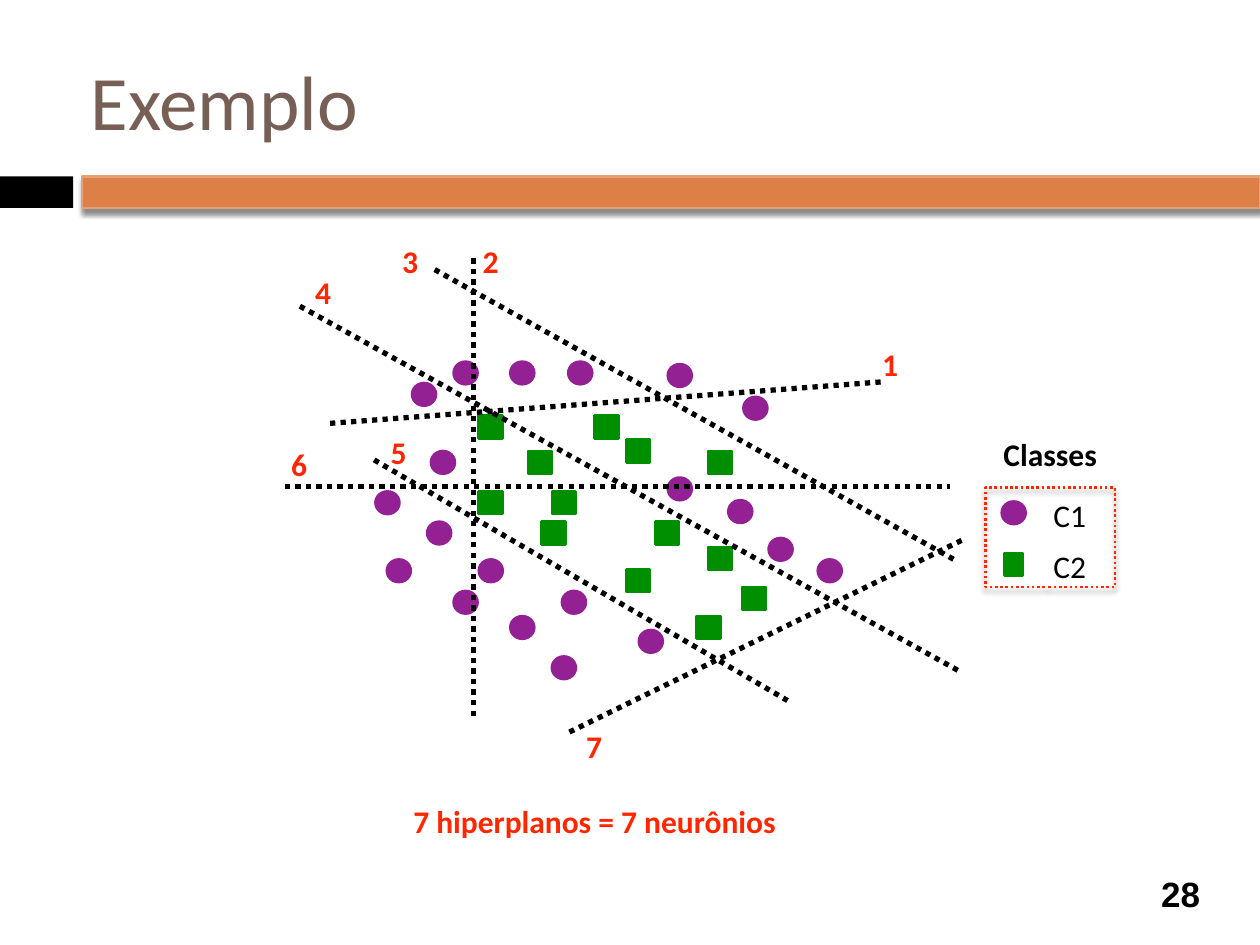
import pptx
import pptx.util
import pptx.oxml
import pptx.oxml.ns
import pptx.dml.color
import pptx.enum.dml
import pptx.enum.shapes
import pptx.enum.text

# The slide is a grid of 100 columns by 75 rows
COLS, ROWS = 100, 75
WIDTH, HEIGHT = pptx.util.Inches(10), pptx.util.Inches(7.5)

COLORS = {
    "black": "000000", "bar": "DD8047", "bar_edge": "E5A075",
    "title": "775F55", "red": "FF2600", "c1": "942193", "c2": "008F00",
}
OVAL = pptx.enum.shapes.MSO_SHAPE.OVAL
RECT = pptx.enum.shapes.MSO_SHAPE.RECTANGLE
DOTTED = pptx.enum.dml.MSO_LINE.ROUND_DOT
MARK_W, MARK_H = 1.9, 1.8

# Column and row of the top left corner of each sample
C1_SAMPLES = [
    (33.9, 41.4), (30.7, 44.4), (44.6, 46.9), (53, 37.9), (38, 44.4),
    (40.5, 48.9), (50.7, 50), (64.9, 44.4), (43.8, 52.1), (57.8, 39.7),
    (61, 42.7), (36, 46.9), (34.2, 35.8), (29.8, 39), (32.7, 30.4),
    (36, 28.7), (40.5, 28.7), (45.1, 28.7), (53, 28.9), (59, 31.5),
]
C2_SAMPLES = [
    (38, 33), (41.9, 35.8), (38, 39), (43.8, 39), (43, 41.4), (47.2, 33),
    (49.7, 34.9), (56.2, 35.8), (52, 41.4), (49.7, 45.2), (56.2, 43.4),
    (58.9, 46.6), (55.3, 48.9),
]

# Number of each hyperplane: start, end, corner of its label
HYPERPLANES = {
    1: ((26.2, 33.6), (70.1, 30.3), (68.5, 26.9)),
    2: ((37.6, 20.5), (37.6, 57.2), (36.8, 18.7)),
    3: ((34.5, 21.4), (75.7, 44.4), (30.4, 18.7)),
    4: ((23.8, 24.3), (76.2, 53.3), (23.5, 21.2)),
    5: ((29.7, 36.5), (62.5, 55.6), (29.5, 33.9)),
    6: ((22.6, 38.6), (75.4, 38.6), (21.6, 34.8)),
    7: ((45.2, 58.1), (76.5, 42.8), (45, 57.2)),
}


def col(n):
    return round(WIDTH * n / COLS)


def row(n):
    return round(HEIGHT * n / ROWS)


def rgb(name):
    return pptx.dml.color.RGBColor.from_string(COLORS[name])


def add_shadow(shape):
    effects = pptx.oxml.parse_xml(
        f'<a:effectLst {pptx.oxml.ns.nsdecls("a")}>'
        '<a:outerShdw blurRad="38100" dist="30480" dir="5400000" rotWithShape="0">'
        '<a:srgbClr val="000000"><a:alpha val="45000"/></a:srgbClr>'
        '</a:outerShdw></a:effectLst>')
    shape._element.spPr.append(effects)


def add_box(s, kind, x, y, w, h, fill=None, edge=None, dash=None, shadow=False):
    sp = s.shapes.add_shape(kind, col(x), row(y), col(w), row(h))
    if fill:
        sp.fill.solid()
        sp.fill.fore_color.rgb = rgb(fill)
    else:
        sp.fill.background()
    if edge:
        sp.line.color.rgb = rgb(edge)
        sp.line.width = pptx.util.Pt(1.5)
        if dash:
            sp.line.dash_style = dash
    else:
        sp.line.fill.background()
    if shadow:
        add_shadow(sp)
    else:
        sp.shadow.inherit = False


def add_mark(s, kind, x, y, color, w=MARK_W):
    add_box(s, kind, x, y, w, MARK_H, color, color)


def add_hyperplane(s, start, end):
    line = s.shapes.add_connector(
        pptx.enum.shapes.MSO_CONNECTOR.STRAIGHT,
        col(start[0]), row(start[1]), col(end[0]), row(end[1]))
    line.line.color.rgb = rgb("black")
    line.line.width = pptx.util.Pt(3)
    line.line.dash_style = DOTTED
    line._element.spPr.append(pptx.oxml.parse_xml(
        f'<a:effectLst {pptx.oxml.ns.nsdecls("a")}/>'))


def format_text(sp, text, size, color, bold, font="Calibri", align="CENTER", anchor="TOP"):
    tf = sp.text_frame
    tf.text = text
    tf.word_wrap = True
    tf.vertical_anchor = pptx.enum.text.MSO_ANCHOR[anchor]
    tf.margin_left = tf.margin_right = pptx.util.Inches(0.05)
    tf.margin_top = tf.margin_bottom = pptx.util.Inches(0.05)
    p = tf.paragraphs[0]
    p.alignment = pptx.enum.text.PP_ALIGN[align]
    r = p.runs[0]
    r.font.name, r.font.size, r.font.bold = font, pptx.util.Pt(size), bold
    r.font.color.rgb = rgb(color)


def add_label(s, text, x, y, w, h=3.6, size=18, color="red", bold=True, **options):
    sp = s.shapes.add_textbox(col(x), row(y), col(w), row(h))
    format_text(sp, text, size, color, bold, **options)


def set_title(s, text):
    sp = s.shapes.title
    sp.left, sp.top, sp.width, sp.height = col(6.7), row(2.5), col(89.2), row(10.8)
    format_text(sp, text, 44, "title", False, align="LEFT", anchor="MIDDLE")
    sp.text_frame.auto_size = pptx.enum.text.MSO_AUTO_SIZE.NONE


def add_legend(s):
    add_mark(s, OVAL, 79.5, 39.8, "c1")
    add_mark(s, RECT, 79.7, 43.9, "c2", w=1.5)
    for i, name in enumerate(("C1", "C2")):
        add_label(s, name, 81.7, 38.9 + 4 * i, 6.4, color="black", bold=False)
    add_box(s, RECT, 78.2, 38.7, 10.3, 7.9, edge="red", dash=DOTTED, shadow=True)
    add_label(s, "Classes", 78.1, 34, 10.5, color="black")


def main():
    prs = pptx.Presentation()
    prs.slide_width, prs.slide_height = WIDTH, HEIGHT
    s = prs.slides.add_slide(prs.slide_layouts[5])

    # Title and band
    add_box(s, RECT, 0, 14, 5.8, 2.5, "black")
    add_box(s, RECT, 6.5, 14, 93.5, 2.5, "bar", "bar_edge", shadow=True)
    set_title(s, "Exemplo")

    # Samples of both classes
    for x, y in C1_SAMPLES:
        add_mark(s, OVAL, x, y, "c1")
    for x, y in C2_SAMPLES:
        add_mark(s, RECT, x, y, "c2")
    add_legend(s)

    # Hyperplanes with their numbers
    for number, (start, end, corner) in HYPERPLANES.items():
        add_hyperplane(s, start, end)
        add_label(s, str(number), *corner, 4.3)

    # Conclusion and page number
    add_label(s, "7 hiperplanos = 7 neurônios", 21.7, 63.2, 51)
    add_label(s, "28", 90.8, 68.9, 5.8, 4.1, size=20, color="black",
              font="Arial", anchor="MIDDLE")

    prs.save("out.pptx")


if __name__ == "__main__":
    main()
